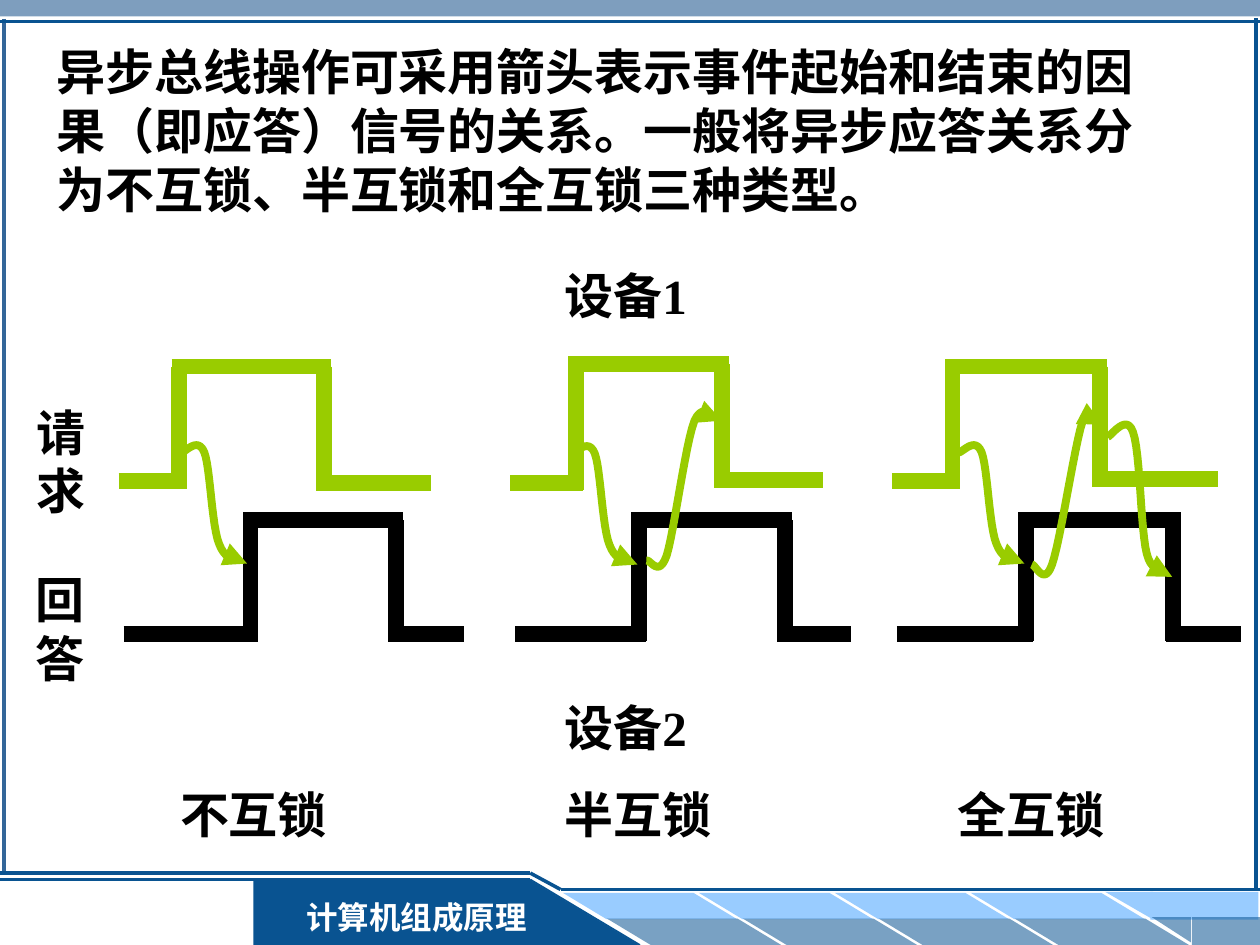
from lxml import etree
from pptx import Presentation
from pptx.dml.color import RGBColor
from pptx.enum.shapes import MSO_CONNECTOR as CONN, MSO_SHAPE as SHAPE
from pptx.enum.text import PP_ALIGN as ALIGN
from pptx.oxml.ns import qn
from pptx.util import Cm, Pt

BLUE, SKY, STEEL = "095391", "99CCFF", "336699"
GREEN, BLACK, WHITE = "99CC00", "000000", "FFFFFF"
FONT = "Times New Roman"


def rgb(code):
    return RGBColor.from_string(code)


def add_line(x1, y1, x2, y2, color, width):
    ln = s.shapes.add_connector(CONN.STRAIGHT, Cm(x1), Cm(y1), Cm(x2), Cm(y2))
    ln.line.color.rgb = rgb(color)
    ln.line.width = Pt(width)
    etree.SubElement(ln.element.spPr, qn("a:effectLst"))


prs = Presentation()
prs.slide_width, prs.slide_height = Cm(25.4), Cm(19.05)
s = prs.slides.add_slide(prs.slide_layouts[6])

# Top band and footer blocks: shape, box, colour, opacity %, flips
RECT, TRI, SLANT = SHAPE.RECTANGLE, SHAPE.RIGHT_TRIANGLE, SHAPE.PARALLELOGRAM
blocks = [
    (RECT, (0, 0, 25.4, 0.33), STEEL, 63, ""),
    (RECT, (5.11, 17.73, 5.59, 1.32), BLUE, 100, ""),
]
for i in range(4):
    x = 11.35 + 2.74 * i
    blocks += [
        (SLANT, (x, 18, 3.51, 0.53), SKY, 100, "H"),
        (SLANT, (x + 0.89, 18.52, 3.51, 0.53), BLUE, 54, "H"),
    ]
blocks += [
    (RECT, (23.19, 17.98, 2.18, 0.56), SKY, 100, ""),
    (TRI, (22.28, 17.98, 0.97, 0.56), SKY, 100, "HV"),
    (RECT, (24.03, 18.49, 1.37, 0.56), BLUE, 54, ""),
    (TRI, (23.22, 18.49, 0.79, 0.51), BLUE, 54, "HV"),
    (TRI, (10.67, 17.73, 2.21, 1.32), BLUE, 100, ""),
    (RECT, (5.79, 17.98, 5.21, 1.02), BLUE, 100, ""),
]
for kind, box, color, opacity, flips in blocks:
    sp = s.shapes.add_shape(kind, *[Cm(v) for v in box])
    sp.shadow.inherit = False
    sp.line.fill.background()
    sp.fill.solid()
    sp.fill.fore_color.rgb = rgb(color)
    if kind == SLANT:
        sp.adjustments[0] = 1.657
    for axis in flips:
        sp.element.spPr.xfrm.set("flip" + axis, "1")
    if opacity < 100:
        clr = next(sp.element.spPr.iter(qn("a:srgbClr")))
        etree.SubElement(clr, qn("a:alpha"), val=str(opacity * 1000))

# Course name in the last footer block
tf = sp.text_frame
tf.word_wrap = True
p = tf.paragraphs[0]
p.alignment = ALIGN.CENTER
r = p.add_run()
r.text = "计算机组成原理"
r.font.name, r.font.size, r.font.bold = FONT, Pt(18), True
r.font.color.rgb = rgb(WHITE)

# Frame lines
add_line(0.08, 0.38, 0.08, 17.6, STEEL, 2)
for x1, y1, x2, y2, width in [
    (12.9, 19.05, 10.69, 17.73, 1),
    (10.69, 17.73, 0, 17.73, 1.5),
    (0, 17.6, 10.69, 17.6, 2),
    (10.69, 17.6, 11.3, 17.93, 2),
    (11.3, 17.93, 25.4, 17.93, 2),
    (0, 0.43, 25.4, 0.43, 2),
    (25.32, 0.36, 25.32, 17.96, 2),
]:
    add_line(x1, y1, x2, y2, BLUE, width)

# Texts: left, top, width, height, wrap, content
for x, y, w, h, wrap, text in [
    (0.89, 0.71, 22.61, 3.81, True,
     "异步总线操作可采用箭头表示事件起始和结束的因果（即应答）信号的关系。"
     "一般将异步应答关系分为不互锁、半互锁和全互锁三种类型。"),
    (11.13, 5.23, 6.43, 1.45, True, "设备1"),
    (11.13, 13.94, 7.49, 1.45, True, "设备2"),
    (0.48, 7.98, 1.5, 2.64, False, "请\n求"),
    (0.46, 11.35, 1.5, 2.64, False, "回\n答"),
    (3.38, 15.7, 5.28, 1.45, True, "不互锁"),
    (11.13, 15.7, 6.02, 1.45, True, "半互锁"),
    (19.05, 15.7, 5.08, 1.45, True, "全互锁"),
]:
    tf = s.shapes.add_textbox(Cm(x), Cm(y), Cm(w), Cm(h)).text_frame
    tf.word_wrap = wrap
    for i, line in enumerate(text.split("\n")):
        p = tf.add_paragraph() if i else tf.paragraphs[0]
        r = p.add_run()
        r.text = line
        r.font.name, r.font.size, r.font.bold = FONT, Pt(28), True
        r.font.color.rgb = rgb(BLACK)

# Pulses: colour, start, rise, fall, end, top, left base, right base
LAP = 0.15
for color, start, rise, fall, end, top, left, right in [
    (GREEN, 2.39, 3.61, 6.53, 8.69, 7.39, 9.7, 9.73),
    (GREEN, 10.29, 11.61, 14.55, 16.59, 7.34, 9.73, 9.68),
    (GREEN, 17.98, 19.2, 22.17, 24.56, 7.39, 9.7, 9.65),
    (BLACK, 2.49, 5.05, 7.98, 9.35, 10.49, 12.78, 12.78),
    (BLACK, 10.39, 12.88, 15.82, 17.15, 10.49, 12.78, 12.78),
    (BLACK, 18.08, 20.68, 23.65, 25.02, 10.49, 12.78, 12.78),
]:
    add_line(start, left, rise + LAP, left, color, 9)
    add_line(rise, top, rise, left + LAP, color, 9)
    add_line(rise - LAP, top, fall + LAP, top, color, 9)
    add_line(fall, top, fall, right + LAP, color, 9)
    add_line(fall - LAP, right, end, right, color, 9)

# Cause-and-effect arrows: start point, Bezier points relative to it
request = [(0, 0), (0.08, 0), (0.33, -0.33), (0.46, 0), (0.58, 0.3),
           (0.61, 1.5), (0.76, 1.85), (0.91, 2.24), (1.19, 2.16), (1.32, 2.24)]
half_back = [(0, 0), (0.08, -0.03), (0.25, 0.36), (0.41, -0.1), (0.56, -0.58),
             (0.79, -2.36), (0.97, -2.82), (1.17, -3.25), (1.45, -2.82),
             (1.52, -2.82)]
full_back = [(0, 0), (0.08, 0), (0.25, 0.46), (0.41, 0), (0.58, -0.48),
             (0.86, -2.39), (1.02, -2.87), (1.19, -3.33), (1.35, -2.84),
             (1.42, -2.82)]
release = [(0, 0), (0.08, -0.03), (0.38, -0.48), (0.51, -0.1), (0.66, 0.3),
           (0.66, 1.88), (0.79, 2.36), (0.91, 2.82), (1.22, 2.64),
           (1.3, 2.72), (1.37, 2.79), (1.3, 2.79), (1.3, 2.82)]
STEPS = 12
for x, y, curve in [
    (3.66, 9.12, request),
    (11.53, 9.14, request),
    (19.33, 9.12, request),
    (13.03, 11.3, half_back),
    (20.8, 11.38, full_back),
    (22.33, 8.81, release),
]:
    points = []
    for i in range(0, len(curve) - 1, 3):
        for k in range(1, STEPS + 1):
            t = k / STEPS
            weights = ((1 - t) ** 3, 3 * t * (1 - t) ** 2,
                       3 * t * t * (1 - t), t ** 3)
            dx, dy = [sum(w * c[axis] for w, c in zip(weights, curve[i:i + 4]))
                      for axis in (0, 1)]
            points.append((Cm(x + dx), Cm(y + dy)))
    builder = s.shapes.build_freeform(Cm(x), Cm(y))
    builder.add_line_segments(points, close=False)
    sp = builder.convert_to_shape()
    sp.shadow.inherit = False
    sp.fill.background()
    sp.line.color.rgb = rgb(GREEN)
    sp.line.width = Pt(4.5)
    etree.SubElement(sp.line._get_or_add_ln(), qn("a:tailEnd"), type="triangle")

prs.save("out.pptx")
